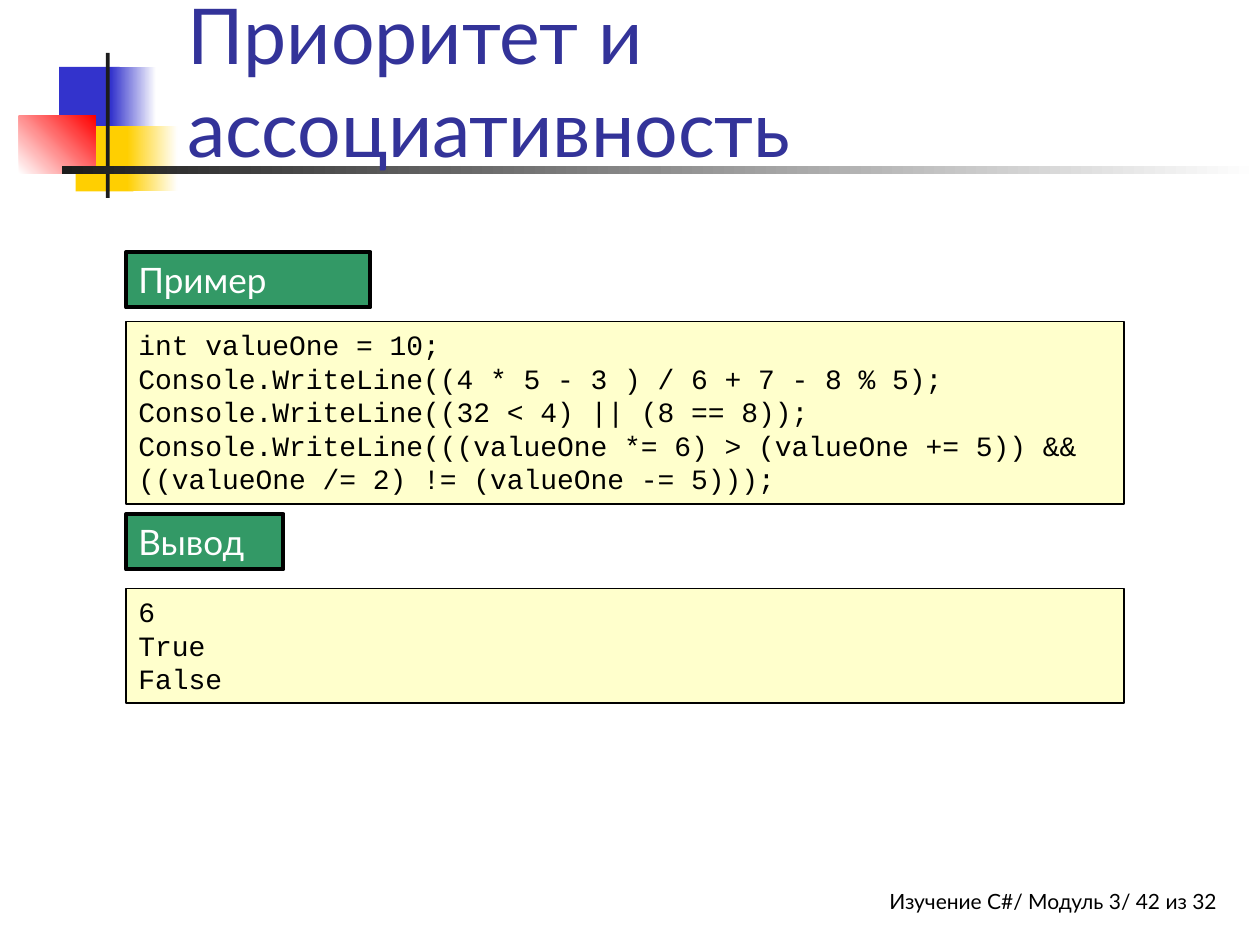
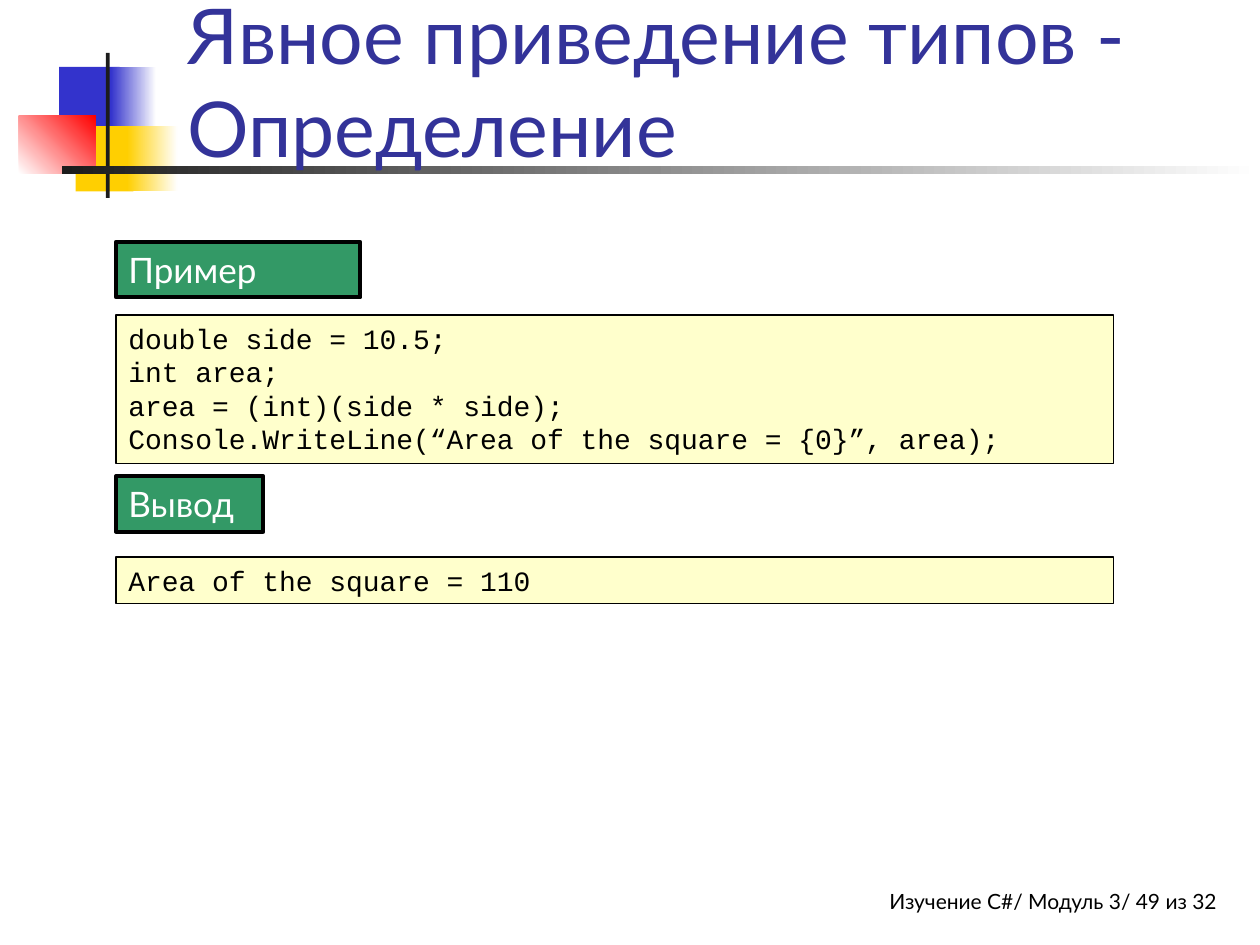
import pptx
import pptx.util
import pptx.dml.color
import pptx.enum.shapes
import pptx.enum.text

Inches = pptx.util.Inches
ALIGN = pptx.enum.text.PP_ALIGN
ANCHOR = pptx.enum.text.MSO_ANCHOR

COLORS = {
    "white": "FFFFFF",
    "black": "000000",
    "title": "333399",
    "blue": "3333CC",
    "yellow": "FFCF01",
    "red": "FF0000",
    "bar": "1C1C1C",
    "label": "339966",
    "code": "FFFFCC",
}
TEXT_FONT = "Lato"
CODE_FONT = "Courier New"
CODE_WIDTH = 7.92
LABEL_HEIGHT = 0.44
LINE_HEIGHT = 0.27
BOX_PADDING = 0.1

ORNAMENT = [
    (0.47, 0.53, 0.48, 0.52, ["blue"], 0),
    (0.88, 0.53, 0.36, 0.52, ["blue", "white"], 0),
    (0.6, 1, 0.46, 0.52, ["yellow"], 0),
    (1.01, 1, 0.4, 0.52, ["yellow", "white"], 0),
    (0.15, 0.92, 0.61, 0.46, ["white", "red"], 45),
    (0.84, 0.42, 0.03, 1.15, ["bar"], 0),
    (0.49, 1.32, 9.51, 0.06, ["bar", "white"], 0),
]

EXAMPLES = [
    {
        "title": "Приоритет и ассоциативность",
        "number": 42,
        "left": 1,
        "blocks": [
            ("Пример", 2, 1.94, 2.55, [
                "int valueOne = 10;",
                "Console.WriteLine((4 * 5 - 3 ) / 6 + 7 - 8 % 5);",
                "Console.WriteLine((32 < 4) || (8 == 8));",
                "Console.WriteLine(((valueOne *= 6) > (valueOne += 5)) &&",
                "((valueOne /= 2) != (valueOne -= 5)));",
            ]),
            ("Вывод", 4.08, 1.25, 4.67, ["6", "True", "False"]),
        ],
    },
    {
        "title": "Явное приведение типов - Определение",
        "number": 49,
        "left": 0.92,
        "blocks": [
            ("Пример", 1.92, 1.94, 2.5, [
                "double side = 10.5;",
                "int area;",
                "area = (int)(side * side);",
                "Console.WriteLine(“Area of the square = {0}”, area);",
            ]),
            ("Вывод", 3.78, 1.17, 4.42, ["Area of the square = 110"]),
        ],
    },
]


def rgb(name):
    return pptx.dml.color.RGBColor.from_string(COLORS[name])


def add_rectangle(page, left, top, width, height, colors, angle=0, line=None):
    box = page.shapes.add_shape(
        pptx.enum.shapes.MSO_SHAPE.RECTANGLE,
        Inches(left), Inches(top), Inches(width), Inches(height))
    box.shadow.inherit = False
    if len(colors) == 1:
        box.fill.solid()
        box.fill.fore_color.rgb = rgb(colors[0])
    else:
        box.fill.gradient()
        box.fill.gradient_angle = angle
        for stop, color in zip(box.fill.gradient_stops, colors):
            stop.color.rgb = rgb(color)
    if line is None:
        box.line.fill.background()
    else:
        box.line.color.rgb = rgb("black")
        box.line.width = pptx.util.Pt(line)
    return box


def add_textbox(page, left, top, width, height):
    return page.shapes.add_textbox(
        Inches(left), Inches(top), Inches(width), Inches(height))


def write(box, lines, size, color, font=TEXT_FONT,
          align=ALIGN.LEFT, anchor=ANCHOR.TOP):
    frame = box.text_frame
    frame.word_wrap = True
    frame.vertical_anchor = anchor
    for index, line in enumerate(lines):
        para = frame.add_paragraph() if index else frame.paragraphs[0]
        para.alignment = align
        span = para.add_run()
        span.text = line
        span.font.name = font
        span.font.size = pptx.util.Pt(size)
        span.font.color.rgb = rgb(color)


def add_ornament(page):
    for left, top, width, height, colors, angle in ORNAMENT:
        add_rectangle(page, left, top, width, height, colors, angle)


def add_title(page, title):
    box = add_textbox(page, 1.39, 0.17, 8.52, 1.25)
    write(box, [title], 44, "title", anchor=ANCHOR.BOTTOM)


def add_footer(page, number):
    box = add_textbox(page, 4.58, 7, 5.08, 0.33)
    box.text_frame.margin_right = 0
    write(box, [f"Изучение C#/ Модуль 3/ {number} из 32"], 12, "black",
          align=ALIGN.RIGHT)


def add_code_block(page, left, label, label_top, label_width, code_top, lines):
    tag = add_rectangle(page, left, label_top, label_width, LABEL_HEIGHT,
                        ["label"], line=2.25)
    write(tag, [label], 20, "white")
    height = BOX_PADDING + LINE_HEIGHT * len(lines)
    code = add_rectangle(page, left, code_top, CODE_WIDTH, height,
                         ["code"], line=0.75)
    write(code, lines, 16, "black", CODE_FONT)


def add_example_page(deck, example):
    page = deck.slides.add_slide(deck.slide_layouts[6])
    add_footer(page, example["number"])
    add_ornament(page)
    add_title(page, example["title"])
    for block in example["blocks"]:
        add_code_block(page, example["left"], *block)


def main():
    deck = pptx.Presentation()
    deck.slide_width = Inches(10)
    deck.slide_height = Inches(7.5)
    for example in EXAMPLES:
        add_example_page(deck, example)
    deck.save("out.pptx")


if __name__ == "__main__":
    main()
